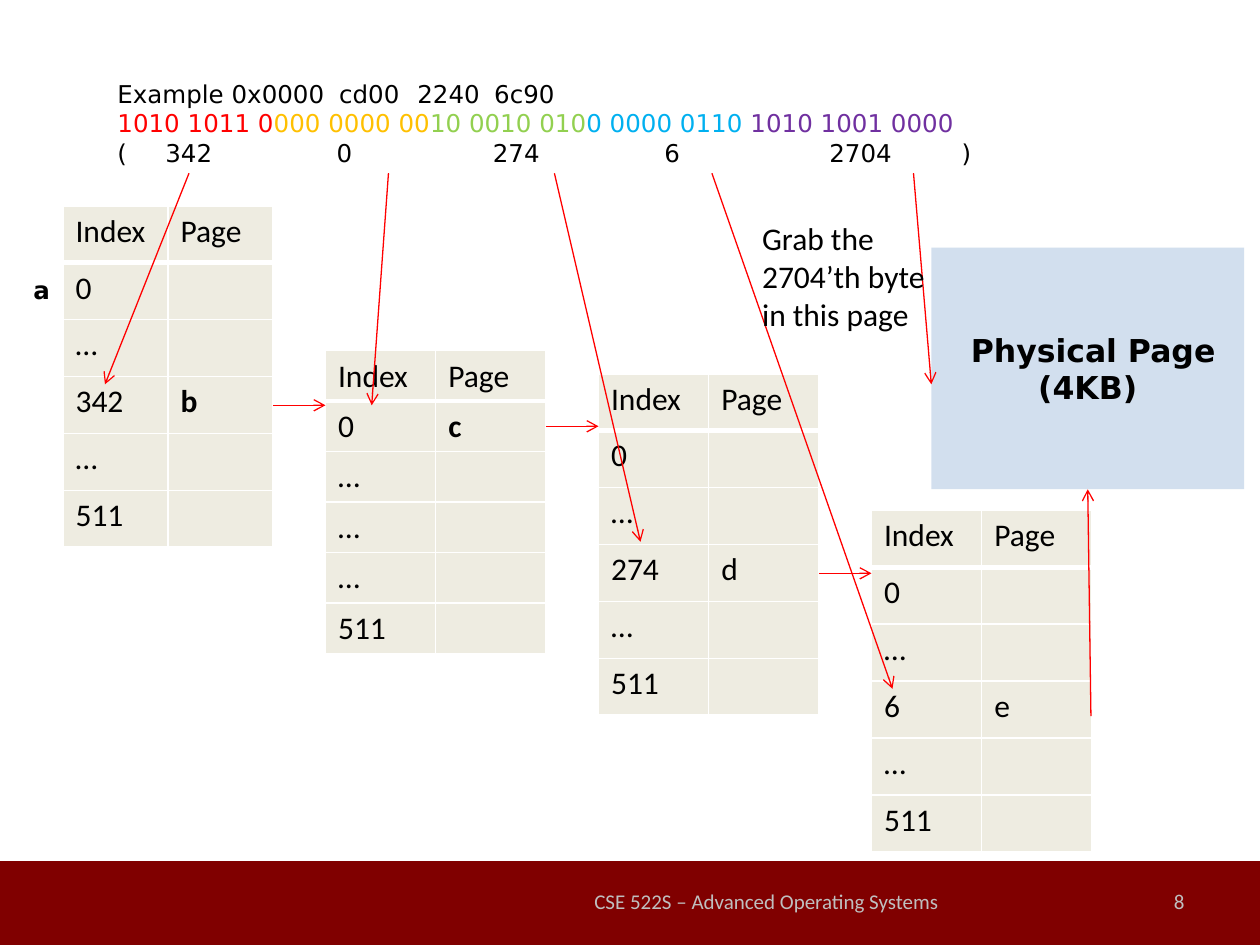
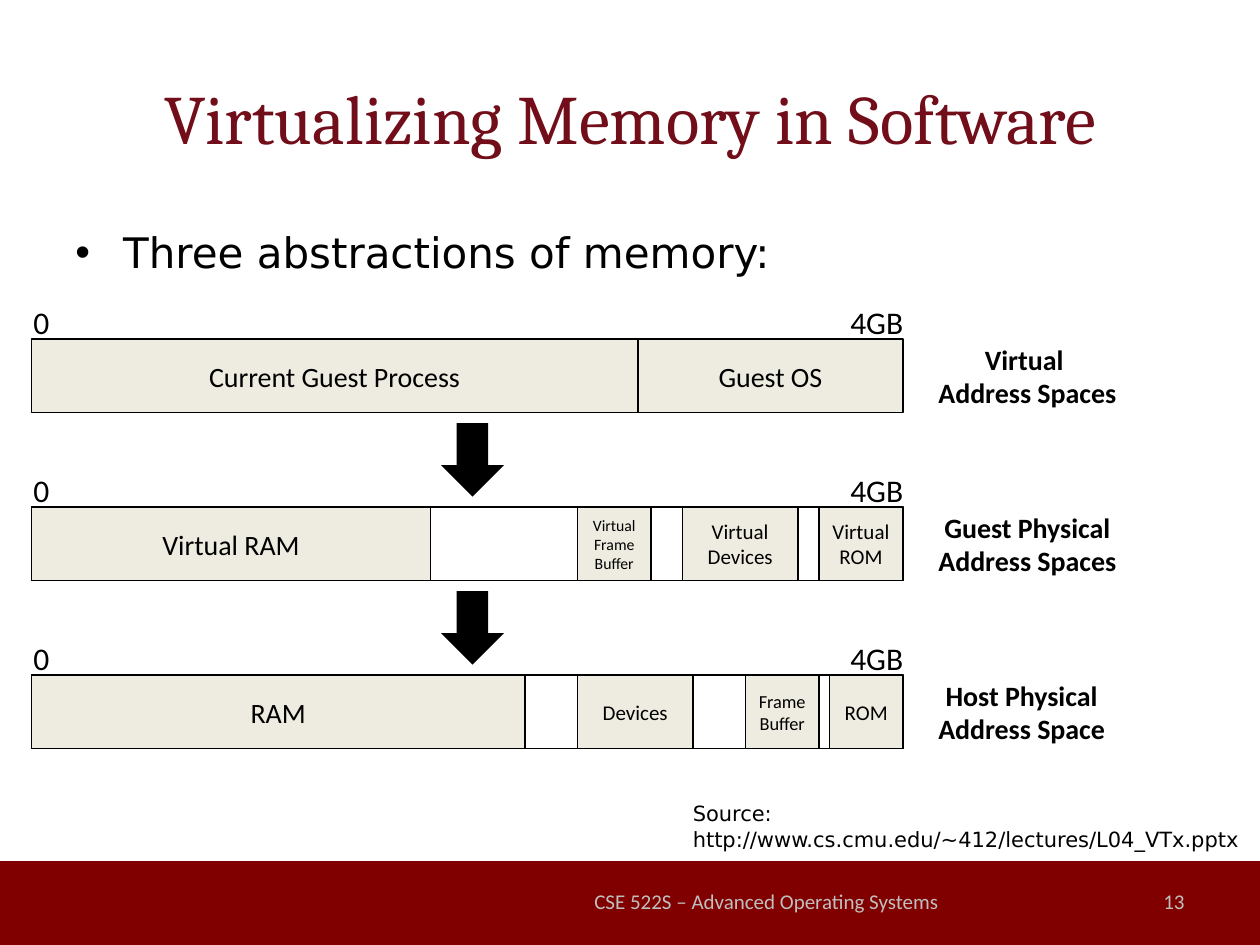
from lxml.etree import SubElement
from pptx import Presentation
from pptx.dml.color import RGBColor
from pptx.enum.shapes import MSO_CONNECTOR, MSO_SHAPE
from pptx.enum.text import MSO_ANCHOR, PP_ALIGN
from pptx.oxml import parse_xml
from pptx.oxml.ns import nsdecls, qn
from pptx.util import Inches, Pt

COLUMNS, ROWS = 120, 90
BLACK, WHITE, BEIGE, RED = "000000", "FFFFFF", "EEECE1", "FF0000"
BAND, TITLE, FOOTER, PAGE_BLUE = "800000", "720D1A", "BFBFBF", "4F81BD"
BODY_FONT, TITLE_FONT, WIDE_FONT = "Calibri", "Cambria", "DejaVu Sans"
LEFT, CENTER, RIGHT = PP_ALIGN.LEFT, PP_ALIGN.CENTER, PP_ALIGN.RIGHT
COURSE = "CSE 522S – Advanced Operating Systems"


def rgb(value):
    return RGBColor.from_string(value)


class Deck:
    """Draws on the current slide, measured in grid columns and rows."""

    def __init__(self):
        self.prs = Presentation()
        self.prs.slide_width, self.prs.slide_height = Inches(10), Inches(7.5)
        self.slide = None

    def x(self, columns):
        return round(self.prs.slide_width * columns / COLUMNS)

    def y(self, rows):
        return round(self.prs.slide_height * rows / ROWS)

    def box(self, left, top, width, height):
        return self.x(left), self.y(top), self.x(width), self.y(height)

    def new_slide(self, number):
        self.slide = self.prs.slides.add_slide(self.prs.slide_layouts[6])
        self.shape((0, 82, COLUMNS, 8), BAND)
        self.text((54, 83.4, 38, 4.8), COURSE, 12, color=FOOTER,
                  align=CENTER, anchor=MSO_ANCHOR.MIDDLE)
        self.text((86, 83.4, 28, 4.8), str(number), 12, color=FOOTER,
                  align=RIGHT, anchor=MSO_ANCHOR.MIDDLE)

    def style(self, frame, size, font=BODY_FONT, color=BLACK, bold=False, align=LEFT):
        for paragraph in frame.paragraphs:
            paragraph.alignment = align
            for run in paragraph.runs:
                run.font.size, run.font.name, run.font.bold = Pt(size), font, bold
                run.font.color.rgb = rgb(color)

    def text(self, place, words, size, wrap=True, anchor=MSO_ANCHOR.TOP, **look):
        frame = self.slide.shapes.add_textbox(*self.box(*place)).text_frame
        frame.word_wrap, frame.vertical_anchor = wrap, anchor
        frame.text = words
        self.style(frame, size, **look)
        return frame

    def shape(self, place, fill, words="", size=16, outline=False,
              kind=MSO_SHAPE.RECTANGLE, alpha=None, **look):
        shape = self.slide.shapes.add_shape(kind, *self.box(*place))
        shape.shadow.inherit = False
        shape.fill.solid()
        shape.fill.fore_color.rgb = rgb(fill)
        if alpha:
            tint = shape.fill._xPr.find(f"{qn('a:solidFill')}/{qn('a:srgbClr')}")
            SubElement(tint, qn("a:alpha"), val=str(alpha * 1000))
        if outline:
            shape.line.color.rgb, shape.line.width = rgb(BLACK), Pt(1)
        else:
            shape.line.fill.background()
        if words:
            shape.text_frame.text = words
            shape.text_frame.word_wrap = False
            shape.text_frame.vertical_anchor = MSO_ANCHOR.MIDDLE
            self.style(shape.text_frame, size, align=CENTER, **look)
        return shape

    def arrow(self, x1, y1, x2, y2, target=None, side=0):
        line = self.slide.shapes.add_connector(
            MSO_CONNECTOR.STRAIGHT, self.x(x1), self.y(y1), self.x(x2), self.y(y2))
        if target is not None:
            line.end_connect(target, side)
        line.line.color.rgb, line.line.width = rgb(RED), Pt(0.75)
        SubElement(line.line._get_or_add_ln(), qn("a:tailEnd"), type="arrow")
        SubElement(line._element.spPr, qn("a:effectLst"))

    def table(self, left, top, column_width, row_height, rows, bold):
        place = self.box(left, top, 2 * column_width, row_height * len(rows))
        table = self.slide.shapes.add_table(len(rows), 2, *place).table
        table.first_row = table.horz_banding = False
        for column in table.columns:
            column.width = self.x(column_width)
        for r, row in enumerate(rows):
            table.rows[r].height = self.y(row_height)
            for c, words in enumerate(row):
                cell = table.cell(r, c)
                cell.text = words
                self.style(cell.text_frame, 18, bold=bold and r > 0 and c == 1)
                cell.fill.solid()
                cell.fill.fore_color.rgb = rgb(BEIGE)
                self.borders(cell, header=r == 0)

    def borders(self, cell, header):
        properties = cell._tc.get_or_add_tcPr()
        for position, side in enumerate("LRTB"):
            width = Pt(3 if header and side == "B" else 1)
            properties.insert(position, parse_xml(
                f'<a:ln{side} {nsdecls("a")} w="{width}"><a:solidFill>'
                f'<a:srgbClr val="{WHITE}"/></a:solidFill></a:ln{side}>'))


def set_tabs(paragraph, stops):
    """Put left tab stops at the given distances in inches."""
    tabs = SubElement(paragraph._p.get_or_add_pPr(), qn("a:tabLst"))
    for stop in stops:
        SubElement(tabs, qn("a:tab"), pos=str(Inches(stop)), algn="l")


def set_bullet(paragraph, indent):
    properties = paragraph._p.get_or_add_pPr()
    properties.set("marL", str(Inches(indent)))
    properties.set("indent", str(-Inches(indent)))
    SubElement(properties, qn("a:buFont"), typeface="Arial")
    SubElement(properties, qn("a:buChar"), char="•")


def page_walk(deck):
    deck.new_slide(8)

    # left, top, column width, row height, indexes, row of the entry, entry, bold
    levels = [
        (6, 19.6, 10, 5.42, "0 … 342 … 511", 3, "b", True),
        (31, 33.4, 10.5, 4.6, "0 … … … 511", 1, "c", True),
        (57, 35.6, 10.5, 5.42, "0 … 274 … 511", 3, "d", False),
        (83, 48.6, 10.5, 5.42, "0 … 6 … 511", 3, "e", False),
    ]
    for left, top, width, height, indexes, entry_row, entry, bold in levels:
        rows = [("Index", "Page")]
        rows += [(index, entry if r == entry_row else "")
                 for r, index in enumerate(indexes.split(), 1)]
        deck.table(left, top, width, height, rows, bold)
    deck.text((2, 25.6, 3.6, 4.1), "a", 14, font=WIDE_FONT, bold=True)

    address = deck.text(
        (10, 4, 110, 12.5),
        "Example 0x0000\tcd00\t2240\t6c90\n\n(\t342\t0\t274\t6\t2704\t)",
        14, font=WIDE_FONT, anchor=MSO_ANCHOR.BOTTOM)
    example, bits, offsets = address.paragraphs
    set_tabs(example, (1.76, 2.38, 2.99))
    set_tabs(offsets, (0.38, 1.74, 2.98, 4.34, 5.65, 6.7))
    bit_groups = [("1010 1011 0", RED), ("000 0000 00", "FFC000"),
                  ("10 0010 010", "92D050"), ("0 0000 0110 ", "00B0F0"),
                  ("1010 1001 0000", "7030A0")]
    for digits, color in bit_groups:
        run = bits.add_run()
        run.text = digits
        run.font.size, run.font.name = Pt(14), WIDE_FONT
        run.font.color.rgb = rgb(color)

    physical_page = deck.shape((88.7, 23.6, 29.8, 23), PAGE_BLUE,
                               " Physical Page\v(4KB)", 18, alpha=25,
                               font=WIDE_FONT, bold=True)

    offsets_bottom = 16.5
    for start, end_x, end_y in [(18, 10, 36.6), (37, 35.4, 38.6), (52.8, 61, 51.6),
                                (67.8, 85, 65.6), (87, 88.7, 36.6)]:
        deck.arrow(start, offsets_bottom, end_x, end_y)
    for start, end, row in [(26, 31, 38.6), (52, 57, 40.6), (78, 83, 54.6)]:
        deck.arrow(start, row, end, row)
    deck.arrow(103.9, 68.2, 103.6, 46.6, physical_page, 2)
    deck.text((71.4, 20.3, 18.1, 12.1),
              "Grab the\n2704’th byte\nin this page", 18, wrap=False)


def memory_abstractions(deck):
    deck.new_slide(13)
    deck.text((6, 3.6, 108, 15), "Virtualizing Memory in Software", 39.6,
              font=TITLE_FONT, color=TITLE, align=CENTER, anchor=MSO_ANCHOR.MIDDLE)
    body = deck.text((6, 21, 108, 59.4), "Three abstractions of memory:", 24,
                     font=WIDE_FONT)
    body.paragraphs[0].space_before = Pt(3)
    set_bullet(body.paragraphs[0], 0.38)

    bar_left, bar_width, bar_height, first_top, pitch = 3, 83, 7, 32.3, 16
    # Each segment: start within the bar, width, words, text size
    spaces = [
        ("Virtual \nAddress Spaces", 19.7,
         [(0, 57.75, "Current Guest Process", 16), (57.75, 25.25, "Guest OS", 16)]),
        ("Guest Physical\nAddress Spaces", 19.7,
         [(0, 38, "Virtual RAM", 16), (52, 7, "Virtual\nFrame\nBuffer", 9),
          (62, 11, "Virtual\nDevices", 12), (75, 8, "Virtual\nROM", 12)]),
        ("Host Physical\nAddress Space", 18.6,
         [(0, 47, "RAM", 16), (52, 11, "Devices", 12),
          (68, 7, "Frame\nBuffer", 10.5), (76, 7, "ROM", 12)]),
    ]
    for i, (label, label_width, segments) in enumerate(spaces):
        top = first_top + i * pitch
        if i > 0:
            deck.shape((42, top - 8, 6, bar_height), BLACK, kind=MSO_SHAPE.DOWN_ARROW)
            deck.shape((bar_left, top, bar_width, bar_height), WHITE, outline=True)
        for start, width, words, size in segments:
            deck.shape((bar_left + start, top, width, bar_height), BEIGE, words,
                       size, outline=True)
        deck.text((2, top - 4, 4, 4.8), "0", 18, wrap=False)
        deck.text((79.8, top - 4, 7.5, 4.8), "4GB", 18, wrap=False)
        deck.text((88, top - 0.3, label_width, 7.7), label, 16, wrap=False,
                  bold=True, align=CENTER)

    deck.text((64.8, 75.7, 55.2, 6),
              "Source:\vhttp://www.cs.cmu.edu/~412/lectures/L04_VTx.pptx", 12,
              font=WIDE_FONT)


def main():
    deck = Deck()
    page_walk(deck)
    memory_abstractions(deck)
    deck.prs.save("out.pptx")


if __name__ == "__main__":
    main()
